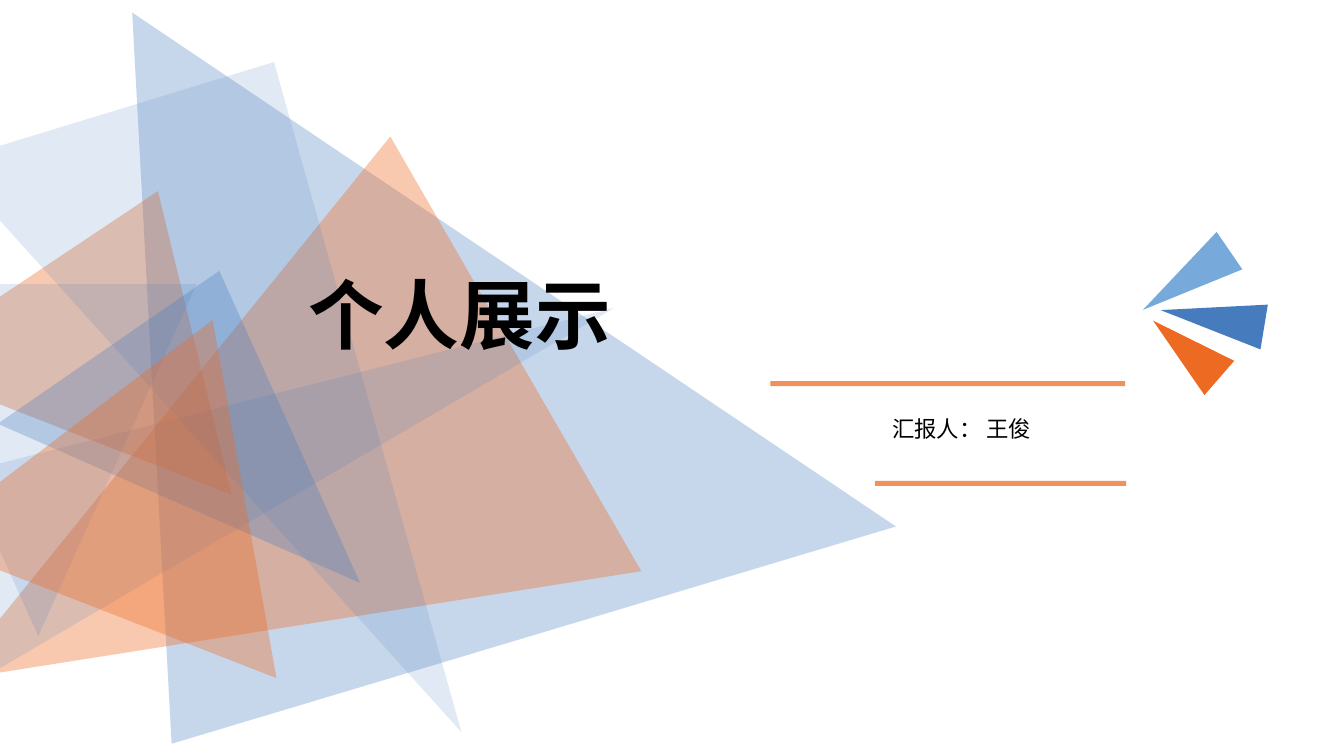
"""Build the opening slide of a personal presentation."""
from dataclasses import dataclass

import pptx
import pptx.dml.color
import pptx.enum.shapes
import pptx.enum.text
import pptx.oxml
import pptx.oxml.ns
import pptx.util
from pptx.util import Inches


@dataclass(frozen=True)
class Theme:
    """Colours, font and type sizes of the slide."""
    blue: str = "467BBD"
    sky: str = "77AADB"
    orange: str = "ED6A23"
    black: str = "000000"
    font: str = "Noto Sans CJK SC"
    title_size: int = 54
    presenter_size: int = 16


THEME = Theme()
PRESET = pptx.enum.shapes.MSO_SHAPE

BACKDROP_TRIANGLES = [
    ((0.53, -0.61, 7.5, 7.06), 343.3, 0.228, THEME.blue, 30),
    ((-0.18, 1.89, 4.98, 6.48), 240, 0.5, THEME.orange, 36),
    ((1.82, 0.86, 2.01, 7.07), 67.7, 0.5, THEME.blue, 16),
    ((-0.67, 1.81, 3.55, 2.54), 21.3, 0.5, THEME.orange, 36),
    ((0.69, 3.15, 2.67, 3.34), 145.4, 0.228, THEME.blue, 30),
    ((0.41, 0.96, 3.39, 6.9), 163, 0.049, THEME.blue, 16),
    ((-1.19, 2.82, 3.14, 3.49), 180, 0.5, THEME.blue, 16),
    ((-0.33, 3.07, 3.76, 3.08), 21.3, 0.5, THEME.orange, 36),
]
FAN_TRIANGLES = [
    ((11.54, 3.03, 0.45, 0.87), 310.9, 0.5, THEME.orange, 100),
    ((11.54, 2.26, 0.45, 1.04), 235.6, 0.5, THEME.sky, 100),
    ((11.8, 2.64, 0.45, 1.04), 279.3, 0.5, THEME.blue, 100),
]
PRESENTER_RULES = [(7.64, 3.78, 3.52, 0.05), (8.68, 4.77, 2.49, 0.05)]


def set_attributes(target, values):
    """Set each named attribute of the target."""
    for name, value in values.items():
        setattr(target, name, value)


def rgb(colour):
    """Turn a hex string into a colour."""
    return pptx.dml.color.RGBColor.from_string(colour)


def add_filled_shape(shapes, preset, box, colour, opacity):
    """Add an unlined shape with a fill of the given opacity in percent."""
    shape = shapes.add_shape(preset, *map(Inches, box))
    shape.shadow.inherit = False
    shape.fill.solid()
    shape.fill.fore_color.rgb = rgb(colour)
    shape.line.fill.background()
    if opacity < 100:
        qn = pptx.oxml.ns.qn
        fill_colour = shape._element.spPr.find(".//" + qn("a:srgbClr"))
        alpha = pptx.oxml.parse_xml(
            f'<a:alpha {pptx.oxml.ns.nsdecls("a")} val="{opacity * 1000}"/>')
        fill_colour.append(alpha)
    return shape


def add_triangle_group(slide, triangles):
    """Add a group of rotated triangles."""
    group = slide.shapes.add_group_shape()
    for box, rotation, apex, colour, opacity in triangles:
        triangle = add_filled_shape(
            group.shapes, PRESET.ISOSCELES_TRIANGLE, box, colour, opacity)
        triangle.rotation = rotation
        triangle.adjustments[0] = apex


def add_text(slide, box, text, size, bold=False, wrap=True):
    """Add a one-line text box."""
    frame = slide.shapes.add_textbox(*map(Inches, box)).text_frame
    set_attributes(frame, {
        "word_wrap": wrap,
        "auto_size": pptx.enum.text.MSO_AUTO_SIZE.SHAPE_TO_FIT_TEXT,
    })
    run = frame.paragraphs[0].add_run()
    run.text = text
    set_attributes(run.font, {
        "name": THEME.font, "size": pptx.util.Pt(size), "bold": bold})
    run.font.color.rgb = rgb(THEME.black)
    run._r.get_or_add_rPr().append(pptx.oxml.parse_xml(
        f'<a:ea {pptx.oxml.ns.nsdecls("a")} typeface="{THEME.font}"/>'))


def main():
    """Build and save the slide."""
    presentation = pptx.Presentation()
    set_attributes(presentation, {
        "slide_width": Inches(13.33), "slide_height": Inches(7.5)})
    slide = presentation.slides.add_slide(presentation.slide_layouts[6])

    add_triangle_group(slide, BACKDROP_TRIANGLES)
    add_text(slide, (2.96, 2.61, 3.2, 1.01), "个人展示",
             THEME.title_size, bold=True, wrap=False)
    add_triangle_group(slide, FAN_TRIANGLES)
    for box in PRESENTER_RULES:
        add_filled_shape(slide.shapes, PRESET.RECTANGLE, box, THEME.orange, 74)
    add_text(slide, (8.75, 4.07, 1.6, 0.64), "汇报人： 王俊", THEME.presenter_size)

    presentation.save("out.pptx")


if __name__ == "__main__":
    main()
